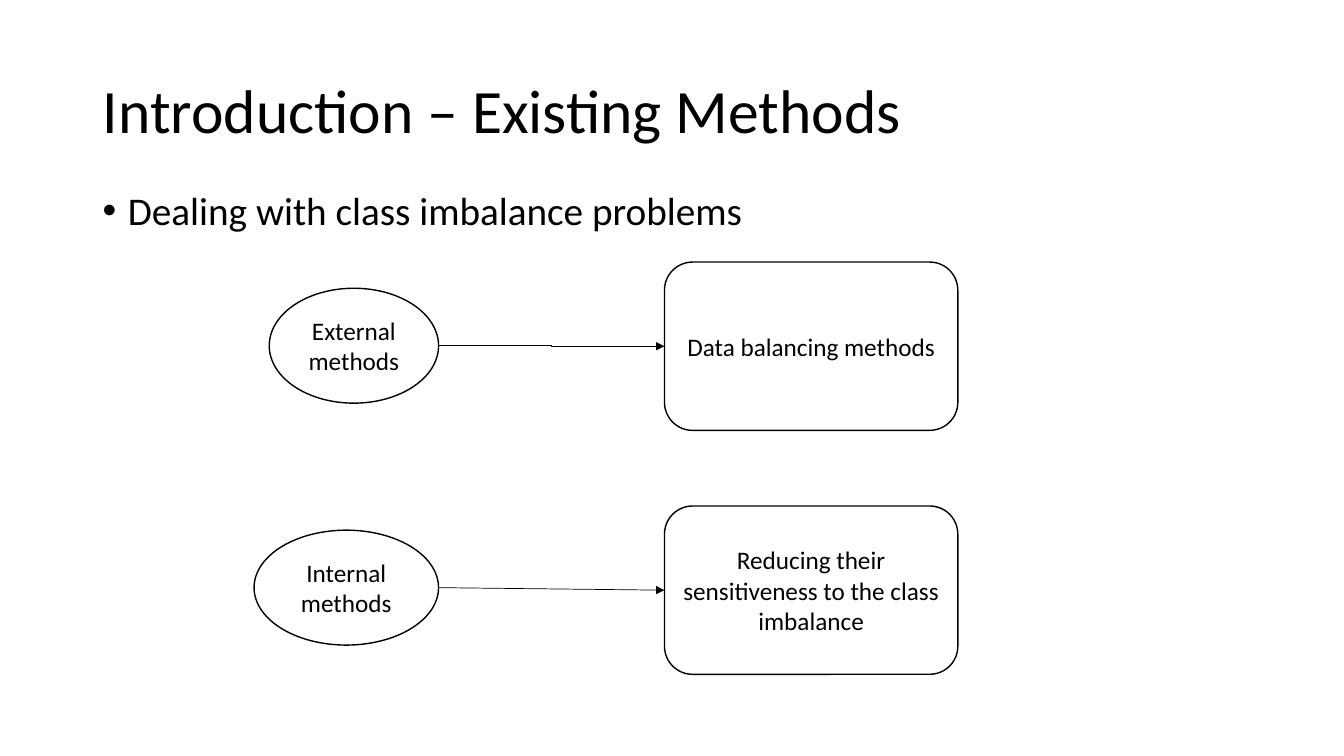
from lxml.etree import SubElement
from pptx import Presentation
from pptx.dml.color import RGBColor
from pptx.enum.shapes import MSO_CONNECTOR, MSO_SHAPE
from pptx.enum.text import MSO_ANCHOR, MSO_AUTO_SIZE, PP_ALIGN
from pptx.oxml.ns import qn
from pptx.util import Inches, Pt

TITLE_ONLY = 5
LEFT_SIDE = 1


def color(hex_code):
    return RGBColor.from_string(hex_code)


class SlideBuilder:
    font_name = "Calibri"
    ink = "000000"
    paper = "FFFFFF"

    def __init__(self, slide):
        self.slide = slide

    def set_text(self, frame, text, size, align, anchor):
        frame.word_wrap = True
        frame.auto_size = MSO_AUTO_SIZE.NONE
        frame.vertical_anchor = anchor
        paragraph = frame.paragraphs[0]
        paragraph.text = text
        paragraph.alignment = align
        paragraph.font.name = self.font_name
        paragraph.font.size = Pt(size)
        paragraph.font.color.rgb = color(self.ink)
        return paragraph

    def title(self, text, left, top, width, height):
        title = self.slide.shapes.title
        title.left, title.top = Inches(left), Inches(top)
        title.width, title.height = Inches(width), Inches(height)
        heading = self.set_text(title.text_frame, text, 44, PP_ALIGN.LEFT, MSO_ANCHOR.MIDDLE)
        heading.line_spacing = 0.9

    def bullet(self, text, left, top, width, height):
        body = self.slide.shapes.add_textbox(
            Inches(left), Inches(top), Inches(width), Inches(height))
        point = self.set_text(body.text_frame, text, 28, PP_ALIGN.LEFT, MSO_ANCHOR.TOP)
        point.line_spacing = 0.9
        point.space_before = Pt(10)
        properties = point._p.get_or_add_pPr()
        properties.set("marL", str(Inches(0.25)))
        properties.set("indent", str(-Inches(0.25)))
        bullet_font = SubElement(properties, qn("a:buFont"))
        bullet_font.set("typeface", "Arial")
        SubElement(properties, qn("a:buChar")).set("char", "•")
        # Schema order puts default run properties after the bullet.
        for run_defaults in properties.findall(qn("a:defRPr")):
            properties.append(run_defaults)

    def node(self, kind, text, left, top, width, height):
        node = self.slide.shapes.add_shape(
            kind, Inches(left), Inches(top), Inches(width), Inches(height))
        node.shadow.inherit = False
        node.fill.solid()
        node.fill.fore_color.rgb = color(self.paper)
        node.line.color.rgb = color(self.ink)
        node.line.width = Pt(1)
        self.set_text(node.text_frame, text, 18, PP_ALIGN.CENTER, MSO_ANCHOR.MIDDLE)
        return node

    def arrow(self, kind, source, target):
        """Point from the source's right side to the target's left side."""
        start_x = source.left + source.width
        start_y = source.top + source.height // 2
        arrow = self.slide.shapes.add_connector(
            kind, start_x, start_y, target.left, start_y)
        arrow.end_connect(target, LEFT_SIDE)
        arrow.line.color.rgb = color(self.ink)
        arrow.line.width = Pt(0.5)
        outline = arrow._element.spPr.find(qn("a:ln"))
        SubElement(outline, qn("a:tailEnd")).set("type", "triangle")
        SubElement(arrow._element.spPr, qn("a:effectLst"))


def main():
    deck = Presentation()
    deck.slide_width, deck.slide_height = Inches(13.33), Inches(7.5)
    builder = SlideBuilder(deck.slides.add_slide(deck.slide_layouts[TITLE_ONLY]))
    builder.title("Introduction – Existing Methods", 0.92, 0.4, 11.5, 1.45)
    builder.bullet("Dealing with class imbalance problems", 0.92, 1.85, 9.7, 4.76)

    approaches = [
        ("External methods", 2.67, 2.86, "Data balancing methods", 2.6,
         MSO_CONNECTOR.ELBOW),
        ("Internal methods", 2.52, 5.26,
         "Reducing their sensitiveness to the class imbalance", 5.02,
         MSO_CONNECTOR.STRAIGHT),
    ]
    methods_right = 4.35
    for methods, left, methods_top, strategy, strategy_top, link in approaches:
        methods_oval = builder.node(MSO_SHAPE.OVAL, methods, left, methods_top,
                                    methods_right - left, 1.14)
        strategy_box = builder.node(MSO_SHAPE.ROUNDED_RECTANGLE, strategy,
                                    6.59, strategy_top, 2.91, 1.67)
        builder.arrow(link, methods_oval, strategy_box)

    deck.save("out.pptx")


if __name__ == "__main__":
    main()
